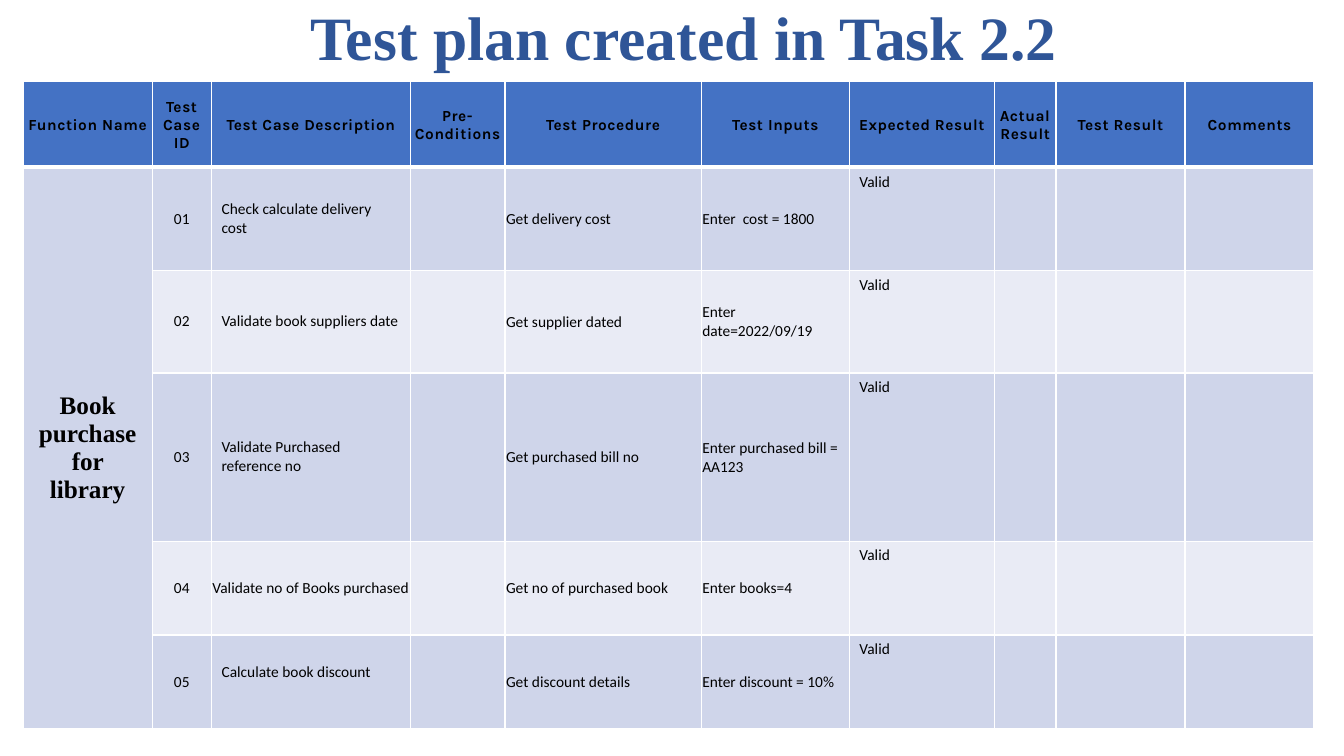
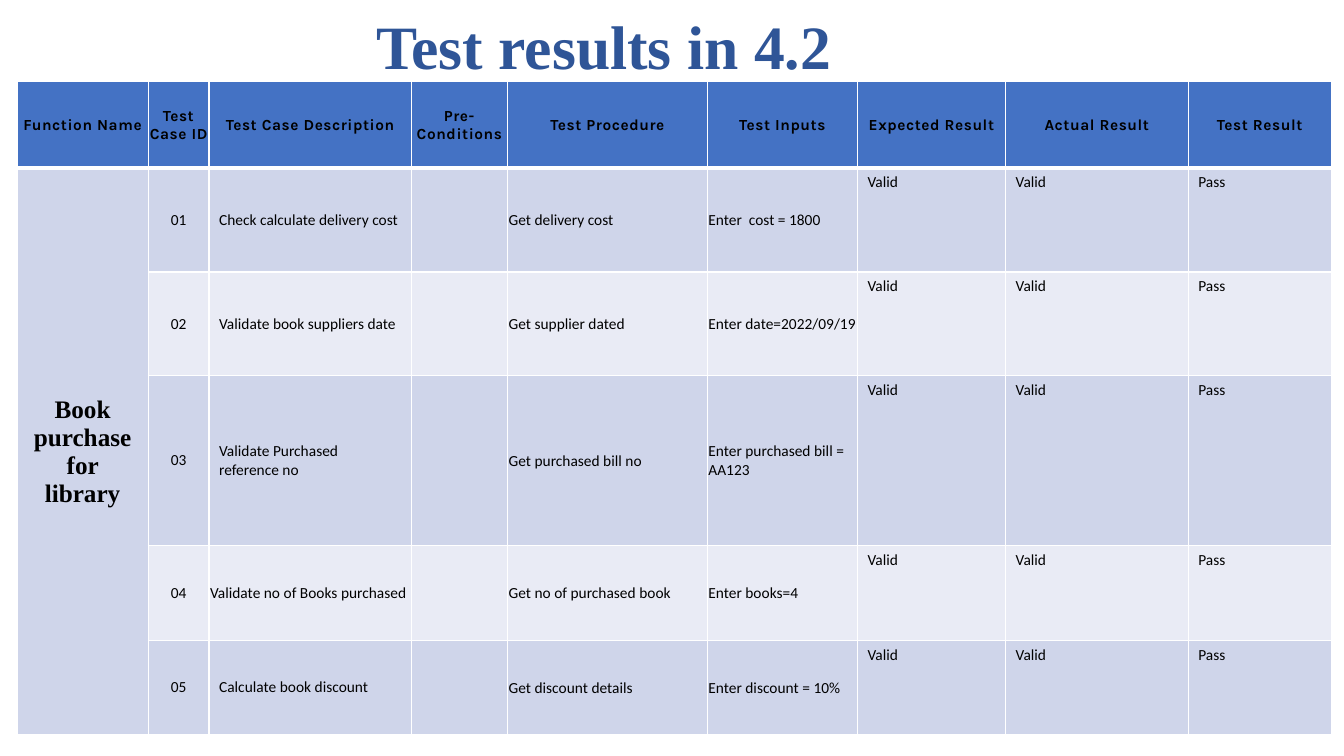
from dataclasses import dataclass

from lxml import etree
from pptx import Presentation
from pptx.dml.color import RGBColor as Rgb
from pptx.enum import text
from pptx.oxml import ns
from pptx.util import Pt


@dataclass(frozen=True)
class Theme:
    """Colours, fonts, type sizes and insets of the deck."""
    title: str = "2F5597"
    head: str = "4472C4"
    bands: tuple = ("CFD5EA", "E9EBF5")
    ink: str = "000000"
    rule: str = "FFFFFF"
    serif: str = "Times New Roman"
    sans: str = "Calibri"
    label: str = "Karla"
    big: float = 44
    mid: float = 18
    small: float = 11
    tight: float = 0.72
    track: int = 40


THEME = Theme()
MID = text.MSO_ANCHOR.MIDDLE
CENTER = text.PP_ALIGN.CENTER
HEADS = ("Function Name", "Test Case ID", "Test Case Description", "Pre-Conditions",
         "Test Procedure", "Test Inputs", "Expected Result", "Actual Result",
         "Test Result", "Comments")
GROUP = "Book purchase for library"
CASES = (
    ("Check calculate delivery cost", "Get delivery cost", "Enter  cost = 1800"),
    ("Validate book suppliers date", "Get supplier dated", "Enter date=2022/09/19"),
    ("Validate Purchased reference no", "Get purchased bill no", "Enter purchased bill = AA123"),
    ("Validate no of Books purchased", "Get no of purchased book", "Enter books=4"),
    ("Calculate book discount", "Get discount details", "Enter discount = 10%"),
)
TIGHT = {(4, 2)} | {(row, col) for row in range(1, 6) for col in (4, 5)}


def style(par, face, size, hue, bold=False):
    """Format the runs of one paragraph."""
    for run in par.runs:
        font = run.font
        font.name, font.size, font.bold = face, Pt(size), bold
        font.color.rgb = Rgb.from_string(hue)


def edge(cell, base):
    """Rule the four sides of a cell."""
    props = cell._tc.get_or_add_tcPr()
    for side, width in (("L", 1), ("R", 1), ("T", 1), ("B", base)):
        line = etree.SubElement(props, ns.qn(f"a:ln{side}"), w=str(Pt(width)))
        fill = etree.SubElement(line, ns.qn("a:solidFill"))
        etree.SubElement(fill, ns.qn("a:srgbClr"), val=THEME.rule)


def paint(cell, hue, base=1):
    """Rule and fill a cell."""
    edge(cell, base)
    cell.fill.solid()
    cell.fill.fore_color.rgb = Rgb.from_string(hue)


def write(cell, words, face=THEME.sans, size=THEME.small, bold=False,
          align=None, anchor=MID, tight=False):
    """Put formatted words in a cell."""
    cell.text_frame.text = words
    cell.vertical_anchor = anchor
    par = cell.text_frame.paragraphs[0]
    par.alignment = align
    style(par, face, size, THEME.ink, bold)
    if tight:
        cell.margin_left = cell.margin_right = cell.margin_top = Pt(THEME.tight)
        cell.margin_bottom = 0


def title(slide, box, words):
    """Place the slide title in its box."""
    shape = slide.shapes.title
    shape.left, shape.top, shape.width, shape.height = map(Pt, box)
    frame = shape.text_frame
    frame.text = words
    frame.auto_size = text.MSO_AUTO_SIZE.NONE
    frame.vertical_anchor = MID
    par = frame.paragraphs[0]
    par.alignment = text.PP_ALIGN.LEFT
    par.line_spacing = 0.9
    style(par, THEME.serif, THEME.big, THEME.title, True)


def header(grid, count):
    """Fill the header row."""
    for col, words in enumerate(HEADS[:count]):
        cell = grid.cell(0, col)
        paint(cell, THEME.head, 3)
        write(cell, words, THEME.label, bold=True, align=CENTER, tight=True)
        for run in cell.text_frame.paragraphs[0].runs:
            run.font._element.set("spc", str(THEME.track))


def table(slide, spot, cols, rows, marks):
    """Draw the test table at a spot, with marks from the result column on."""
    left, top = spot
    grid = slide.shapes.add_table(len(rows), len(cols), Pt(left), Pt(top),
                                  Pt(sum(cols)), Pt(sum(rows))).table
    for part, sizes in ((grid.columns, cols), (grid.rows, rows)):
        for item, size in zip(part, sizes):
            if part is grid.columns:
                item.width = Pt(size)
            else:
                item.height = Pt(size)
    header(grid, len(cols))
    for row, (goal, step, entry) in enumerate(CASES, 1):
        words = ("", f"{row:02}", goal, "", step, entry, *marks)
        for col in range(len(cols)):
            cell = grid.cell(row, col)
            paint(cell, THEME.bands[(row - 1) % 2 if col else 0])
            if col < len(words) and words[col]:
                write(cell, words[col], align=CENTER if col == 1 else None,
                      anchor=MID if col < 6 else text.MSO_ANCHOR.TOP,
                      tight=(row, col) in TIGHT)
    first = grid.cell(1, 0)
    first.merge(grid.cell(len(CASES), 0))
    write(first, GROUP, THEME.serif, THEME.mid, True, CENTER)
    return grid


def page(deck, words, box, *parts):
    """Add a slide with a title and a test table."""
    slide = deck.slides.add_slide(deck.slide_layouts[5])
    title(slide, box, words)
    return table(slide, *parts)


def main():
    """Build and save the deck."""
    deck = Presentation()
    deck.slide_width, deck.slide_height = Pt(960), Pt(540)
    plan = page(deck, "Test plan created in Task 2.2", (214.6, 0, 583.9, 58.3),
                (16.5, 58.3),
                (92.2, 42.4, 142, 67.7, 140.2, 105.8, 103.6, 44, 92.2, 92.2),
                (61.2, 73.5, 73.5, 120.1, 67.1, 67.1), ("Valid",))
    plan.cell(5, 2).margin_bottom = Pt(18)
    page(deck, "Test results in 4.2", (261.4, 0, 481.7, 70.6),
         (12.1, 58.3),
         (93.8, 43.4, 144.5, 68.8, 142.7, 107.2, 105.8, 130.5, 102.2),
         (61.8, 74.2, 74.2, 121.2, 67.7, 67.7), ("Valid", "Valid", "Pass"))
    deck.save("out.pptx")


if __name__ == "__main__":
    main()
